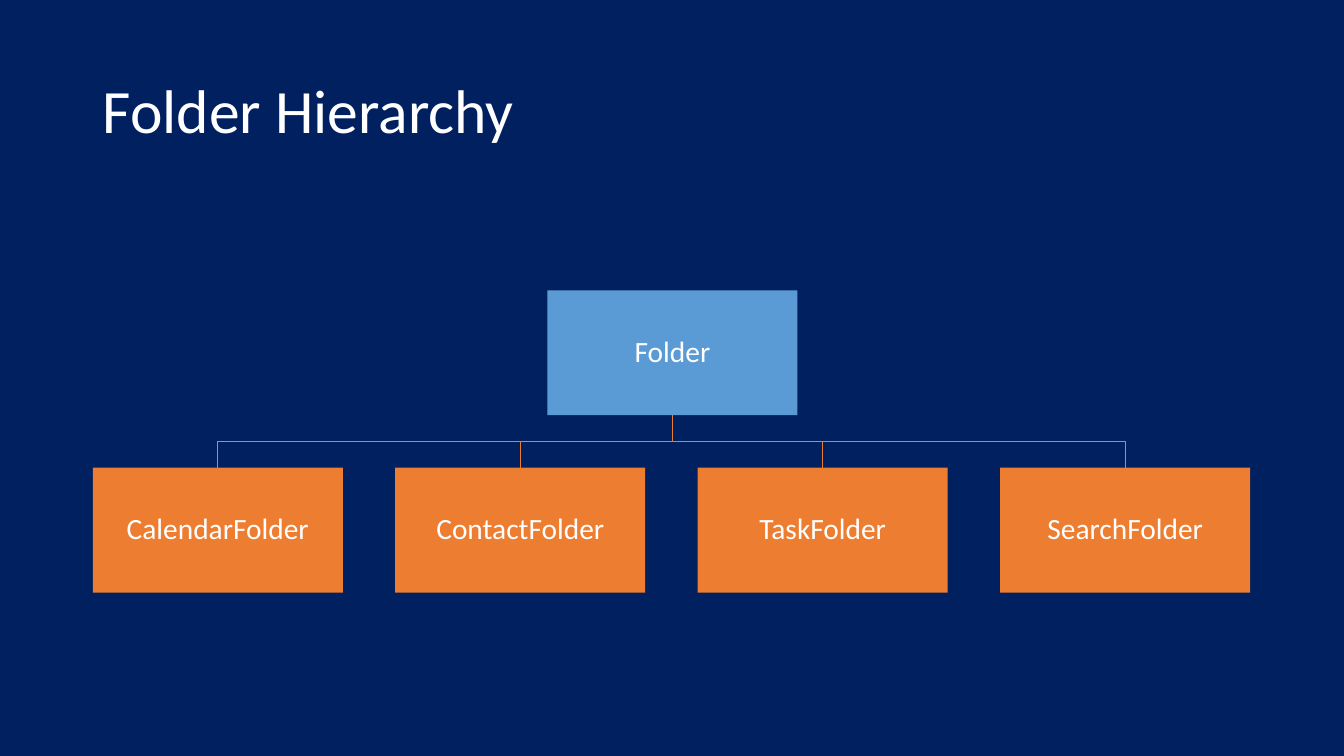
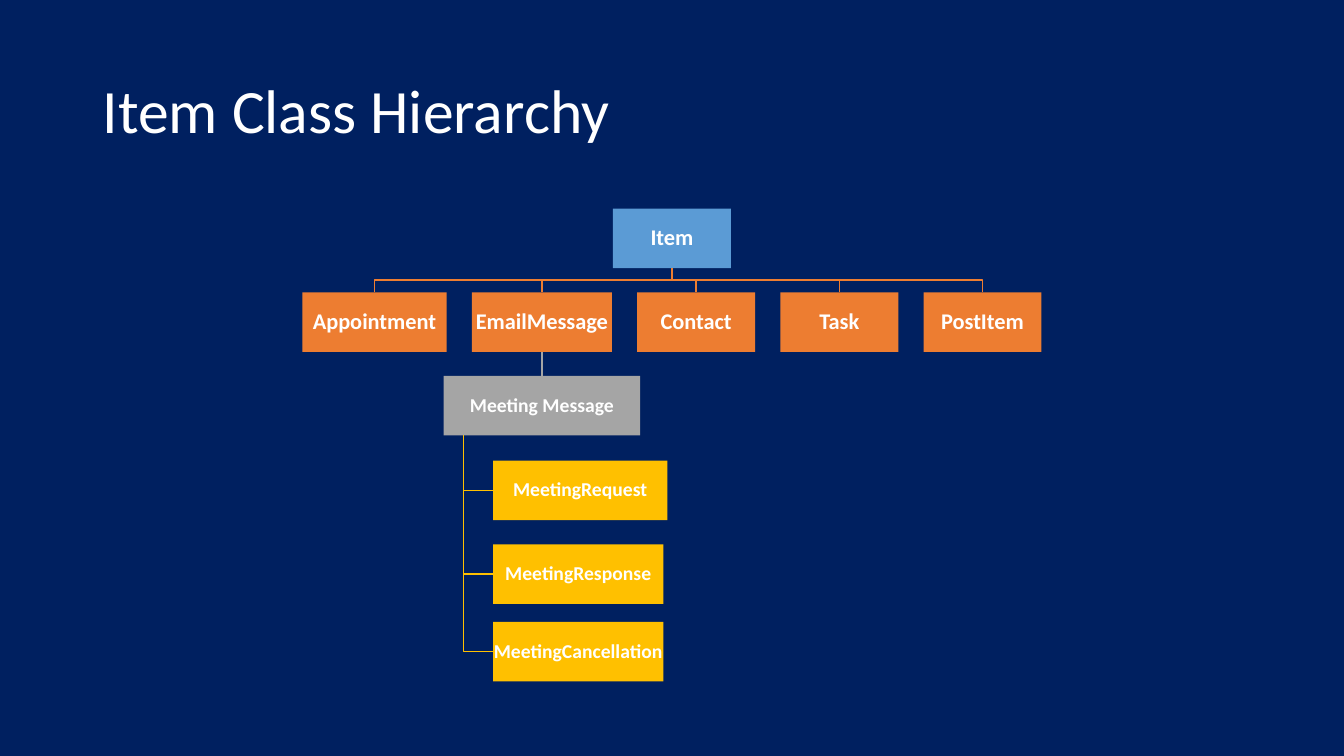
from lxml import etree
from pptx import Presentation
from pptx import util as u
from pptx.dml.color import RGBColor
from pptx.enum import shapes, text
from pptx.oxml.ns import qn

HUES = {"navy": "002060", "white": "FFFFFF", "blue": "5B9BD5",
        "orange": "ED7D31", "gray": "A5A5A5", "gold": "FFC000"}
FONT = "Calibri"


def tint(name):
    return RGBColor.from_string(HUES[name])


def write(frame, words, size, bold=False, align=text.PP_ALIGN.LEFT, inset=None, wrap=True):
    frame.auto_size = text.MSO_AUTO_SIZE.NONE
    frame.word_wrap = wrap
    frame.vertical_anchor = text.MSO_ANCHOR.MIDDLE
    if inset is not None:
        frame.margin_left = frame.margin_right = u.Inches(inset)
        frame.margin_top = frame.margin_bottom = u.Inches(inset)
    para = frame.paragraphs[0]
    para.alignment = align
    para.line_spacing = 0.9
    run = para.add_run()
    run.text = words
    run.font.name, run.font.size, run.font.bold = FONT, u.Pt(size), bold
    run.font.color.rgb = tint("white")


class Deck:
    """Holds the shared style and the current slide, and draws tree charts."""

    def __init__(self):
        self.prs = Presentation()
        self.prs.slide_width, self.prs.slide_height = u.Inches(13.33), u.Inches(7.5)
        fill = self.prs.slide_master.background.fill
        fill.solid()
        fill.fore_color.rgb = tint("navy")
        self.layout = self.prs.slide_layouts[5]
        title = self.layout.placeholders[0]
        title.left, title.top = u.Inches(0.92), u.Inches(0.4)
        title.width, title.height = u.Inches(11.5), u.Inches(1.45)

    def start(self, title):
        self.slide = self.prs.slides.add_slide(self.layout)
        write(self.slide.shapes.title.text_frame, title, 44)

    def box(self, words, left, top, width, height, hue, size, bold=False):
        node = self.slide.shapes.add_shape(
            shapes.MSO_SHAPE.RECTANGLE, *map(u.Inches, (left, top, width, height)))
        node.shadow.inherit = False
        node.fill.solid()
        node.fill.fore_color.rgb = tint(hue)
        node.line.fill.background()
        write(node.text_frame, words, size, bold, text.PP_ALIGN.CENTER, 0.01, False)
        return node

    def row(self, items, left, top, height, gap, hue, size, bold=False):
        nodes = []
        for words, width in items:
            nodes.append(self.box(words, left, top, width, height, hue, size, bold))
            left += width + gap
        return nodes

    def ink(self, line, hue):
        line.line.color.rgb = tint(hue)
        line.line.width = u.Pt(1)

    def bend(self, points, hue):
        pen = self.slide.shapes.build_freeform(*points[0])
        pen.add_line_segments(points[1:], close=False)
        line = pen.convert_to_shape()
        line.shadow.inherit = False
        line.fill.background()
        self.ink(line, hue)

    def drop(self, top, node, hue):
        x = top.left + top.width // 2
        line = self.slide.shapes.add_connector(
            shapes.MSO_CONNECTOR.STRAIGHT, x, top.top + top.height, x, node.top)
        etree.SubElement(line._element.spPr, qn("a:effectLst"))
        self.ink(line, hue)

    def fan(self, top, nodes, hue):
        x, y = top.left + top.width // 2, top.top + top.height
        for node in nodes:
            mid, end = (y + node.top) // 2, node.left + node.width // 2
            self.bend([(x, y), (x, mid), (end, mid), (end, node.top)], hue)

    def hang(self, top, nodes, hue):
        x, y = top.left + top.width // 10, top.top + top.height
        for node in nodes:
            end = node.top + node.height // 2
            self.bend([(x, y), (x, end), (node.left, end)], hue)


deck = Deck()

deck.start("Folder Hierarchy")
wide, tall = 2.48, 1.24
root = deck.box("Folder", 5.43, 2.88, wide, tall, "blue", 21)
kinds = ["CalendarFolder", "ContactFolder", "TaskFolder", "SearchFolder"]
deck.fan(root, deck.row([(kind, wide) for kind in kinds],
                        0.92, 4.64, tall, 0.52, "orange", 21), "orange")

deck.start("Item Class Hierarchy")
wide, tall = 1.17, 0.59
root = deck.box("Item", 6.08, 2.07, wide, tall, "blue", 16, True)
kinds = [("Appointment", 1.43), ("EmailMessage", 1.39), ("Contact", wide),
         ("Task", wide), ("PostItem", wide)]
items = deck.row(kinds, 3, 2.9, tall, 0.25, "orange", 16, True)
deck.fan(root, items, "orange")
meet = deck.box("Meeting Message", 4.4, 3.73, 1.95, tall, "gray", 14, True)
deck.drop(items[1], meet, "gray")
notes = [("MeetingRequest", 4.57, 1.73), ("MeetingResponse", 5.4, 1.69),
         ("MeetingCancellation", 6.17, 1.69)]
deck.hang(meet, [deck.box(words, 4.89, top, width, tall, "gold", 14, True)
                 for words, top, width in notes], "gold")

deck.prs.save("out.pptx")
